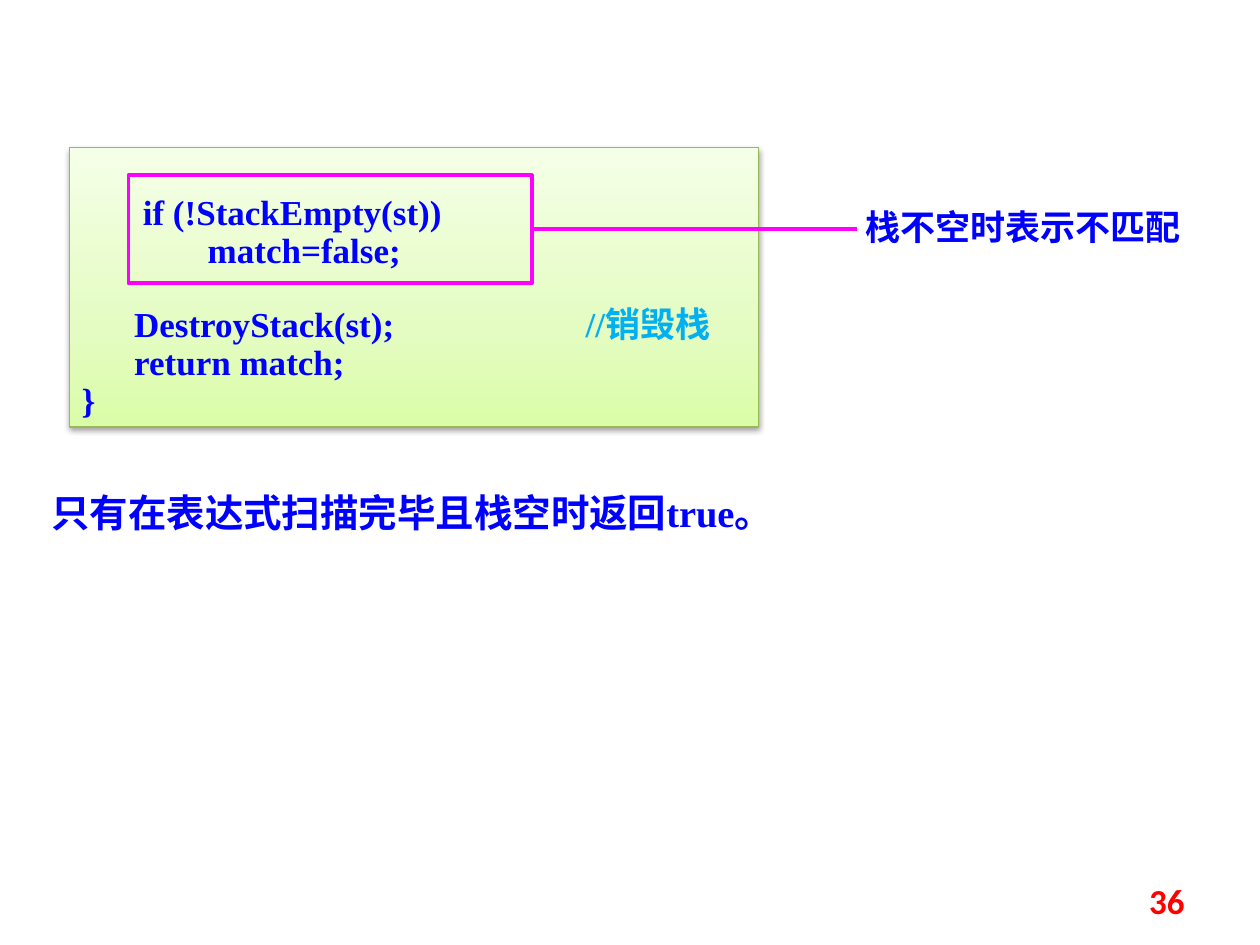
from dataclasses import dataclass

from lxml.etree import SubElement
from pptx import Presentation
from pptx.dml.color import RGBColor as RGB
from pptx.enum.shapes import MSO_CONNECTOR as Link, MSO_SHAPE as Kind
from pptx.enum.text import MSO_ANCHOR as Anchor, PP_ALIGN as Align
from pptx.oxml import parse_xml
from pptx.oxml.ns import nsdecls, qn
from pptx.util import Inches, Pt


@dataclass(frozen=True)
class Theme:
    blue: str = "0000FF"
    sky: str = "00B0F0"
    pink: str = "FF00FF"
    red: str = "FF0000"
    edge: str = "98B955"
    grad: tuple = ((0, "DAFDA7"), (35, "E4FCC2"), (100, "F5FFE7"))
    serif: str = "Times New Roman"
    sans: str = "Calibri"
    cjk: str = "Noto Sans CJK SC"
    body: int = 20
    note: int = 22


@dataclass(frozen=True)
class Box:
    left: float
    top: float
    width: float
    height: float

    def dims(self) -> tuple:
        return tuple(map(Inches, (self.left, self.top, self.width, self.height)))


@dataclass(frozen=True)
class Label:
    box: Box
    text: str
    face: str
    size: int
    color: str
    align: Align = Align.LEFT
    anchor: Anchor = Anchor.TOP


@dataclass(frozen=True)
class Line:
    code: str
    note: str = ""
    tab: float = 0
    before: int = 0


THEME = Theme()
PANEL = Box(0.55, 1.17, 5.47, 2.22)
FRAME = Box(1.02, 1.39, 3.2, 0.86)
CODE = (
    Line("       if (!StackEmpty(st))"),
    Line("\tmatch=false;", tab=1),
    Line("      DestroyStack(st);\t", "//销毁栈", tab=4, before=21),
    Line("      return match;"),
    Line("}"),
)
LABELS = (
    Label(Box(6.48, 1.58, 3.28, 0.44), "栈不空时表示不匹配", THEME.cjk,
          THEME.body, THEME.blue, Align.CENTER),
    Label(Box(0.31, 3.83, 7.27, 0.47), "只有在表达式扫描完毕且栈空时返回true。",
          THEME.serif, THEME.note, THEME.blue),
    Label(Box(7.17, 6.95, 2.33, 0.4), "36", THEME.sans,
          THEME.body, THEME.red, Align.RIGHT, Anchor.MIDDLE),
)


def style(run, face: str, size: int, color: str) -> None:
    font = run.font
    font.name, font.size, font.bold = face, Pt(size), True
    font.color.rgb = RGB.from_string(color)
    SubElement(run._r.get_or_add_rPr(), qn("a:ea"), typeface=THEME.cjk)


def stroke(item, color: str, width: float) -> None:
    item.line.color.rgb = RGB.from_string(color)
    item.line.width = Pt(width)


def add_rect(slide, box: Box, color: str, width: float):
    rect = slide.shapes.add_shape(Kind.RECTANGLE, *box.dims())
    rect.shadow.inherit = False
    rect.fill.background()
    stroke(rect, color, width)
    return rect


def shade(rect) -> None:
    """Give the panel its upward gradient and soft drop shadow."""
    stops = "".join(f'<a:gs pos="{pos * 1000}"><a:srgbClr val="{color}"/></a:gs>'
                    for pos, color in THEME.grad)
    props = rect._element.spPr
    props.replace(props.find(qn("a:noFill")), parse_xml(
        f'<a:gradFill {nsdecls("a")} rotWithShape="1"><a:gsLst>{stops}</a:gsLst>'
        '<a:lin ang="16200000" scaled="0"/></a:gradFill>'))
    props.find(qn("a:effectLst")).append(parse_xml(
        f'<a:outerShdw {nsdecls("a")} blurRad="40000" dist="20000" dir="5400000" '
        'rotWithShape="0"><a:srgbClr val="000000"><a:alpha val="38000"/>'
        '</a:srgbClr></a:outerShdw>'))


def add_code(slide) -> None:
    rect = add_rect(slide, PANEL, THEME.edge, 0.75)
    shade(rect)
    frame = rect.text_frame
    frame.word_wrap = True
    frame.vertical_anchor = Anchor.BOTTOM
    frame.text = "\n".join(line.code for line in CODE)
    for para, line in zip(frame.paragraphs, CODE):
        para.alignment = Align.LEFT
        para.line_spacing = 0.9
        if line.before:
            para.space_before = Pt(line.before)
        if line.tab:
            tabs = SubElement(para._p.get_or_add_pPr(), qn("a:tabLst"))
            SubElement(tabs, qn("a:tab"), pos=str(Inches(line.tab)), algn="l")
        style(para.runs[0], THEME.serif, THEME.body, THEME.blue)
        if line.note:
            run = para.add_run()
            run.text = line.note
            style(run, THEME.serif, THEME.body, THEME.sky)


def add_label(slide, label: Label) -> None:
    frame = slide.shapes.add_textbox(*label.box.dims()).text_frame
    frame.word_wrap = True
    frame.vertical_anchor = label.anchor
    frame.text = label.text
    para = frame.paragraphs[0]
    para.alignment = label.align
    style(para.runs[0], label.face, label.size, label.color)


def add_link(slide) -> None:
    """Join the framed code to its remark."""
    mid = Inches(FRAME.top + FRAME.height / 2)
    link = slide.shapes.add_connector(
        Link.STRAIGHT, Inches(FRAME.left + FRAME.width), mid, Inches(6.8), mid)
    stroke(link, THEME.pink, 2.25)
    SubElement(link._element.spPr, qn("a:effectLst"))


def main() -> None:
    deck = Presentation()
    deck.slide_width, deck.slide_height = Inches(10), Inches(7.5)
    slide = deck.slides.add_slide(deck.slide_layouts[6])
    add_code(slide)
    add_rect(slide, FRAME, THEME.pink, 2.25)
    add_link(slide)
    for label in LABELS:
        add_label(slide, label)
    deck.save("out.pptx")


if __name__ == "__main__":
    main()
